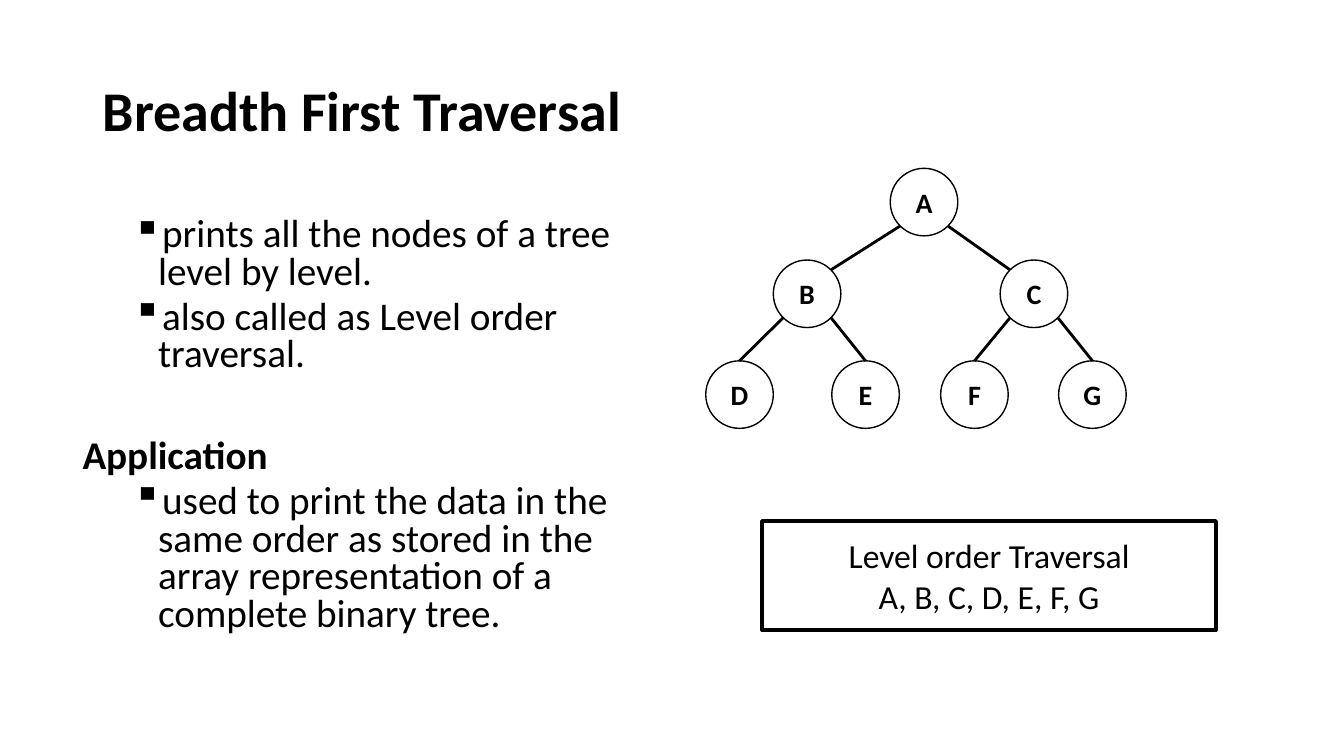
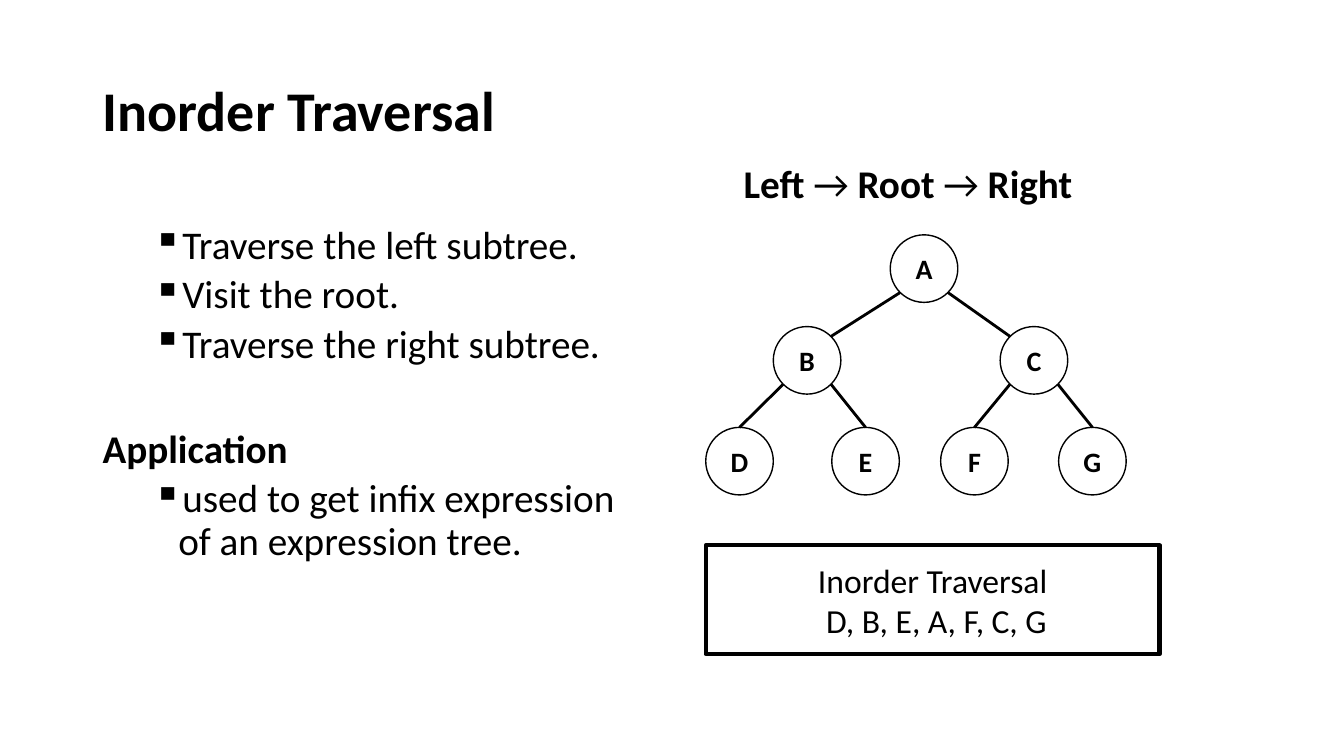
"""Build two slides on breadth first and inorder binary tree traversal."""
from lxml.etree import SubElement
from pptx import Presentation
from pptx.dml.color import RGBColor
from pptx.enum.shapes import MSO_CONNECTOR as CONNECTOR, MSO_SHAPE as SHAPE
from pptx.enum.text import MSO_ANCHOR as ANCHOR, PP_ALIGN as ALIGN
from pptx.oxml.ns import qn
from pptx.util import Inches, Pt

COLOURS = {"ink": "000000", "paper": "FFFFFF"}
INK = RGBColor.from_string(COLOURS["ink"])
FONT = "Calibri"
NODE_SIZE = 0.67
RADIUS = NODE_SIZE / 2
DIAGONAL = RADIUS * 0.71
LEVEL_DROPS = [0, 0.91, 1.91]
NODES = {
    "A": (8.83, 0), "B": (7.67, 1), "C": (9.92, 1),
    "D": (7, 2), "E": (8.25, 2), "F": (9.33, 2), "G": (10.5, 2),
}
EDGES = ["AB", "AC", "BD", "BE", "CF", "CG"]

LESSONS = [
    {
        "title": "Breadth First Traversal",
        "steps": ["prints all the nodes of a tree level by level.",
                  "also called as Level order traversal."],
        "use": "used to print the data in the same order as stored in the "
               "array representation of a complete binary tree.",
        "body": (0.72, 2.11, 5.92, 4.58),
        "spacing": 0.8,
        "application_gap": 46,
        "rule": [],
        "tree_top": 1.67,
        "result": ["Level order Traversal", "A, B, C, D, E, F, G"],
        "result_at": (7.56, 5.17),
    },
    {
        "title": "Inorder Traversal",
        "steps": ["Traverse the left subtree.", "Visit the root.",
                  "Traverse the right subtree."],
        "use": "used to get infix expression of an expression tree.",
        "body": (0.92, 2.19, 5.67, 3.69),
        "spacing": 0.9,
        "application_gap": 45,
        "rule": [("Left ", True), ("→", False), (" Root ", True),
                 ("→", False), (" Right", True)],
        "tree_top": 2.33,
        "result": ["Inorder Traversal", " D, B, E, A, F, C, G"],
        "result_at": (7, 5.41),
    },
]


def add_run(paragraph, text, size, bold=False):
    run = paragraph.add_run()
    run.text = text
    run.font.name = FONT
    run.font.size = Pt(size)
    run.font.bold = bold
    run.font.color.rgb = INK


def add_frame(slide, box, preset=None, line_width=0):
    lengths = [Inches(value) for value in box]
    if preset is None:
        frame = slide.shapes.add_textbox(*lengths).text_frame
    else:
        outline = slide.shapes.add_shape(preset, *lengths)
        outline.shadow.inherit = False
        outline.fill.background()
        outline.line.color.rgb = INK
        outline.line.width = Pt(line_width)
        frame = outline.text_frame
        frame.vertical_anchor = ANCHOR.MIDDLE
    frame.word_wrap = True
    return frame


deck = Presentation()
deck.slide_width = Inches(13.33)
deck.slide_height = Inches(7.5)

for lesson in LESSONS:
    slide = deck.slides.add_slide(deck.slide_layouts[6])
    slide.background.fill.solid()
    slide.background.fill.fore_color.rgb = RGBColor.from_string(COLOURS["paper"])

    title = add_frame(slide, (0.92, 0.4, 5.92, 1.45))
    title.vertical_anchor = ANCHOR.MIDDLE
    title.paragraphs[0].line_spacing = 0.9
    add_run(title.paragraphs[0], lesson["title"], 40, True)

    body = add_frame(slide, lesson["body"])
    entries = [(step, True) for step in lesson["steps"]]
    entries += [("Application", False), (lesson["use"], True)]
    for index, (text, bulleted) in enumerate(entries):
        entry = body.add_paragraph() if index else body.paragraphs[0]
        entry.line_spacing = lesson["spacing"]
        entry.space_before = Pt(5 if bulleted else lesson["application_gap"])
        if bulleted:
            properties = entry._p.get_or_add_pPr()
            properties.set("marL", str(Inches(0.75)))
            properties.set("indent", str(Inches(-0.25)))
            SubElement(properties, qn("a:buChar")).set("char", "▪")
        add_run(entry, text, 28, not bulleted)

    if lesson["rule"]:
        rule = add_frame(slide, (6.67, 1.58, 4.67, 0.6)).paragraphs[0]
        rule.alignment = ALIGN.CENTER
        rule.line_spacing = 0.9
        rule.space_before = Pt(10)
        for text, bold in lesson["rule"]:
            add_run(rule, text, 28, bold)

    centres = {}
    for letter, (left, level) in NODES.items():
        top = lesson["tree_top"] + LEVEL_DROPS[level]
        centres[letter] = (left + RADIUS, top + RADIUS)
        node = add_frame(slide, (left, top, NODE_SIZE, NODE_SIZE), SHAPE.OVAL, 1)
        node.paragraphs[0].alignment = ALIGN.CENTER
        add_run(node.paragraphs[0], letter, 20, True)

    for parent, child in EDGES:
        parent_x, parent_y = centres[parent]
        child_x, child_y = centres[child]
        side = 1 if child_x > parent_x else -1
        if NODES[child][1] == 1:
            end_x, end_y = child_x - side * DIAGONAL, child_y - DIAGONAL
        else:
            end_x, end_y = child_x, child_y - RADIUS
        edge = slide.shapes.add_connector(
            CONNECTOR.STRAIGHT,
            Inches(parent_x + side * DIAGONAL), Inches(parent_y + DIAGONAL),
            Inches(end_x), Inches(end_y))
        edge.line.color.rgb = INK
        edge.line.width = Pt(2)
        SubElement(edge._element.spPr, qn("a:effectLst"))

    result = add_frame(slide, (*lesson["result_at"], 4.5, 1.08), SHAPE.RECTANGLE, 3)
    for index, text in enumerate(lesson["result"]):
        line = result.add_paragraph() if index else result.paragraphs[0]
        line.alignment = ALIGN.CENTER
        add_run(line, text, 24)

deck.save("out.pptx")
